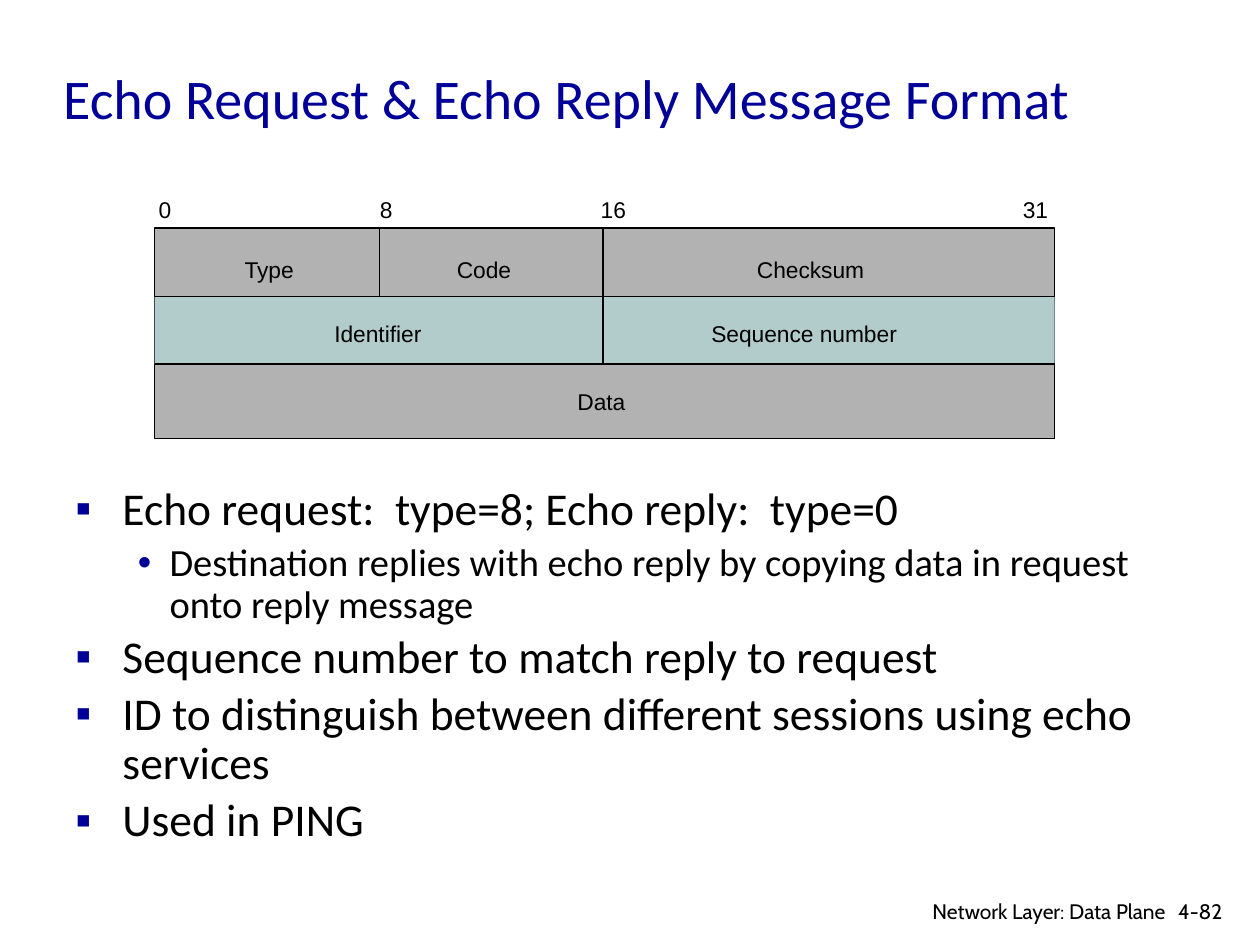
from lxml.etree import SubElement
from pptx import Presentation
from pptx.dml.color import RGBColor
from pptx.enum.shapes import MSO_CONNECTOR, MSO_SHAPE
from pptx.enum.text import MSO_ANCHOR as Anchor, PP_ALIGN as Align
from pptx.oxml.ns import qn
from pptx.util import Cm, Pt

BLACK = RGBColor(0x00, 0x00, 0x00)
NAVY = RGBColor(0x00, 0x00, 0x99)
GRAY = RGBColor(0xB2, 0xB2, 0xB2)
TEAL = RGBColor(0xB1, 0xCC, 0xCB)


class SlideBuilder:
    """Holds the slide in work and the style of its elements."""

    body_font = "Calibri"
    label_font = "Arial"
    footer_font = "Cabin"
    line_width = Pt(0.88)
    # per level: bullet, text size, left margin, hanging indent (cm)
    levels = (("▪", 26, 0.95, 0.95), ("•", 22, 1.9, 0.64))

    def __init__(self, deck):
        self.page = deck.slides.add_slide(deck.slide_layouts[5])

    def style(self, para, font, size, color=BLACK):
        for span in para.runs:
            span.font.name = font
            span.font.size = Pt(size)
            span.font.color.rgb = color

    def title(self, text, left, top, width, height):
        box = self.page.shapes.title
        box.left, box.top, box.width, box.height = map(Cm, (left, top, width, height))
        frame = box.text_frame
        frame.text = text
        frame.word_wrap = True
        frame.vertical_anchor = Anchor.MIDDLE
        frame.paragraphs[0].alignment = Align.LEFT
        self.style(frame.paragraphs[0], self.body_font, 32, NAVY)

    def text_box(self, left, top, width, height):
        frame = self.page.shapes.add_textbox(*map(Cm, (left, top, width, height))).text_frame
        frame.word_wrap = True
        return frame

    def label(self, text, left, top, width):
        frame = self.text_box(left, top, width, 0.56)
        frame.margin_left = frame.margin_right = 0
        frame.margin_top = frame.margin_bottom = 0
        frame.text = text
        self.style(frame.paragraphs[0], self.label_font, 13)

    def footer(self, text, left, width, align):
        frame = self.text_box(left, 17.98, width, 0.7)
        frame.text = text
        frame.paragraphs[0].alignment = align
        self.style(frame.paragraphs[0], self.footer_font, 12)

    def band(self, left, top, width, height, fill, outlined):
        shape = self.page.shapes.add_shape(
            MSO_SHAPE.RECTANGLE, *map(Cm, (left, top, width, height)))
        shape.shadow.inherit = False
        shape.fill.solid()
        shape.fill.fore_color.rgb = fill
        if outlined:
            shape.line.color.rgb = BLACK
            shape.line.width = self.line_width
        else:
            shape.line.fill.background()

    def rule(self, x1, y1, x2, y2):
        line = self.page.shapes.add_connector(
            MSO_CONNECTOR.STRAIGHT, *map(Cm, (x1, y1, x2, y2)))
        line.line.color.rgb = BLACK
        line.line.width = self.line_width
        SubElement(line._element.spPr, qn("a:effectLst"))

    def bullets(self, items, left, top, width, height):
        frame = self.text_box(left, top, width, height)
        for index, (level, text) in enumerate(items):
            para = frame.add_paragraph() if index else frame.paragraphs[0]
            para.text = text
            mark, size, margin, hanging = self.levels[level]
            para.level = level
            props = para._p.get_or_add_pPr()
            props.set("marL", str(Cm(margin)))
            props.set("indent", str(-Cm(hanging)))
            color = SubElement(props, qn("a:buClr"))
            SubElement(color, qn("a:srgbClr")).set("val", str(NAVY))
            SubElement(props, qn("a:buFont")).set("typeface", self.label_font)
            SubElement(props, qn("a:buChar")).set("char", mark)
            para.line_spacing = 0.9
            if index:
                para.space_before = Pt(4.5)
            self.style(para, self.body_font, size)


def main():
    deck = Presentation()
    deck.slide_width, deck.slide_height = Cm(25.4), Cm(19.05)
    page = SlideBuilder(deck)
    page.title("Echo Request & Echo Reply Message Format", 1.02, 0.66, 23.52, 2.59)

    # Footer
    page.footer("4-82", 23.5, 1.55, Align.LEFT)
    page.footer("Network Layer: Data Plane", 17.7, 6.05, Align.RIGHT)

    # Message frame: bands, then the lines between fields
    left, right = 3.12, 21.26
    top, row_2, row_3, bottom = 4.6, 5.98, 7.34, 8.84
    page.band(left, top, right - left, bottom - top, GRAY, True)
    page.band(left, row_2, right - left, row_3 - row_2, TEAL, False)
    for y in (row_2, row_3):
        page.rule(left, y, right, y)
    for x, y in ((7.65, row_2), (12.16, row_3)):
        page.rule(x, top, x, y)

    # Labels by row: top, then text, left and width of each
    rows = (
        (3.95, (("0", 3.2, 0.4), ("8", 7.66, 0.4), ("16", 12.11, 0.7), ("31", 20.62, 0.7))),
        (5.16, (("Type", 4.93, 1.2), ("Code", 9.21, 1.3), ("Checksum", 15.26, 2.4))),
        (6.45, (("Identifier", 6.74, 2), ("Sequence number", 14.34, 4))),
        (7.82, (("Data", 11.64, 1.2),)),
    )
    for y, labels in rows:
        for text, x, width in labels:
            page.label(text, x, y, width)

    # Explanation
    page.bullets((
        (0, "Echo request:  type=8; Echo reply:  type=0"),
        (1, "Destination replies with echo reply by copying data in request onto reply message"),
        (0, "Sequence number to match reply to request"),
        (0, "ID to distinguish between different sessions using echo services"),
        (0, "Used in PING"),
    ), 1.27, 9.68, 22.86, 8.38)

    deck.save("out.pptx")


if __name__ == "__main__":
    main()
